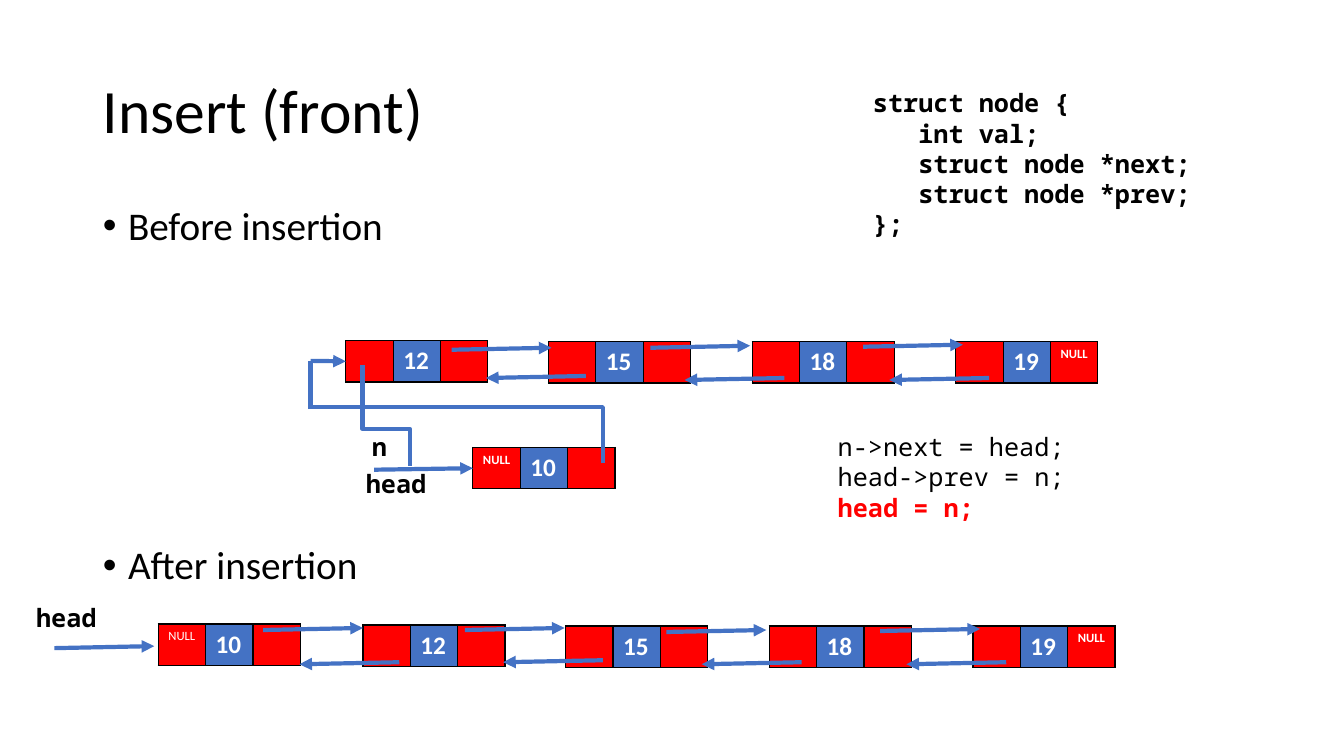
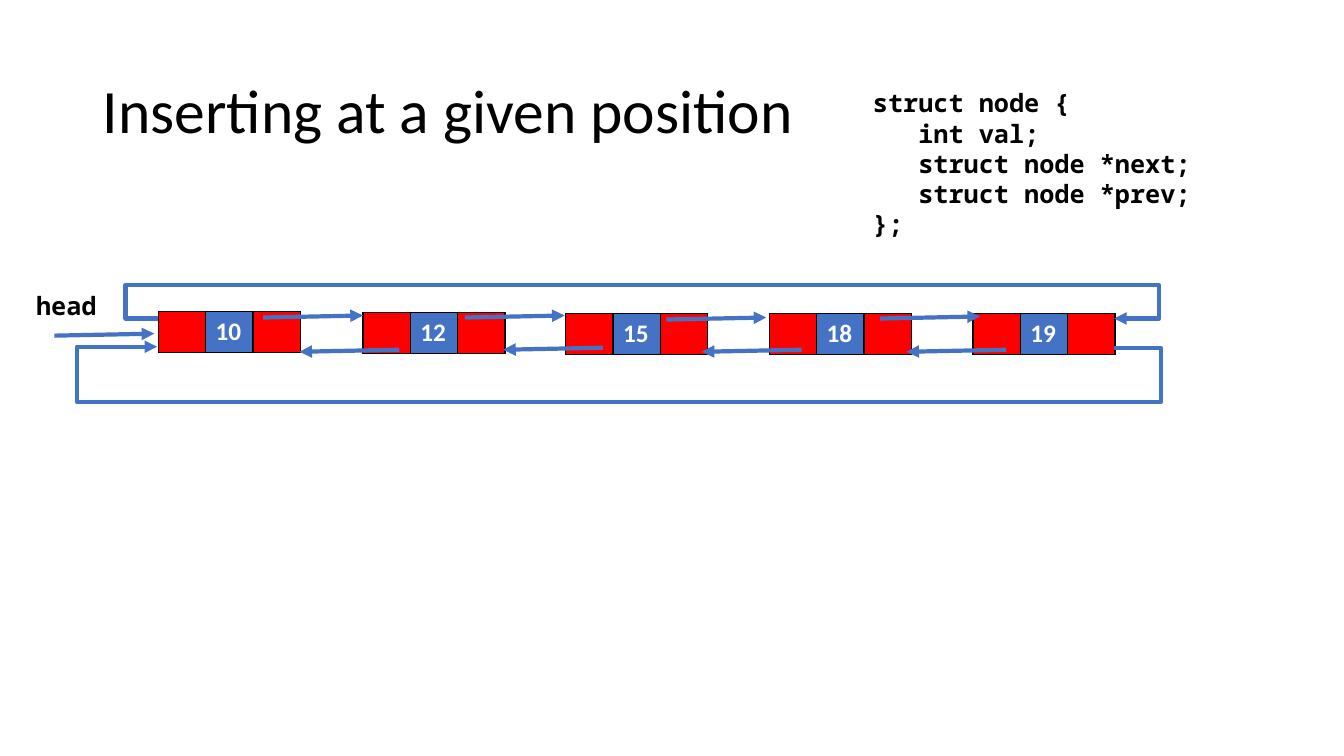
from lxml import etree
from pptx import Presentation
from pptx.dml.color import RGBColor
from pptx.enum.shapes import MSO_CONNECTOR as Link
from pptx.enum.text import MSO_ANCHOR as Anchor, MSO_AUTO_SIZE as Fit, PP_ALIGN as Align
from pptx.oxml import parse_xml
from pptx.oxml.ns import nsdecls, qn
from pptx.util import Inches, Pt

COLORS = {"text": "000000", "light": "FFFFFF", "pointer": "FF0000", "value": "4472C4"}
TITLE = {"name": "Calibri", "size": Pt(44), "bold": False}
BULLET = {"name": "Calibri", "size": Pt(28), "bold": False}
NODE_VALUE = {"name": "Calibri", "size": Pt(18), "bold": True}
NODE_NULL = {"name": "Calibri", "size": Pt(9), "bold": True}
PLAIN_CODE = {"name": "Noto Sans Mono", "size": Pt(18), "bold": False}
BOLD_CODE = PLAIN_CODE | {"bold": True}
CELL_WIDTH, NODE_HEIGHT = 0.47, 0.41
ARROW_RUN, ARROW_RISE = 0.99, 0.02

STRUCT = ["struct node {", "   int val;", "   struct node *next;",
          "   struct node *prev;", "};"]


def write(para, text, style, color):
    """Add text to a paragraph in the given font style and colour."""
    span = para.add_run()
    span.text = text
    for name, value in style.items():
        setattr(span.font, name, value)
    span.font.color.rgb = RGBColor.from_string(COLORS[color])


def draw_link(page, begin, end, arrow=True, bend=None, turn=0, target=None):
    """Draw a line; bend is the elbow's place as a share of the run."""
    kind = Link.STRAIGHT if bend is None else Link.ELBOW
    link = page.shapes.add_connector(kind, *[Inches(v) for v in (*begin, *end)])
    link.line.color.rgb = RGBColor.from_string(COLORS["value"])
    link.line.width = Pt(3)
    if arrow:
        link.line._get_or_add_ln().append(
            parse_xml(f'<a:tailEnd {nsdecls("a")} type="triangle"/>'))
    properties = link._element.spPr
    etree.SubElement(properties, qn("a:effectLst"))
    if bend is not None:
        guides = properties.find(qn("a:prstGeom")).get_or_add_avLst()
        etree.SubElement(guides, qn("a:gd"), name="adj1", fmla=f"val {round(bend * 100000)}")
    if turn:
        properties.find(qn("a:xfrm")).set("rot", str(turn * 60000))
    if target is not None:
        link.end_connect(target, 1)


deck = Presentation()
deck.slide_width, deck.slide_height = Inches(13.33), Inches(7.5)
front = deck.slides.add_slide(deck.slide_layouts[1])
position = deck.slides.add_slide(deck.slide_layouts[5])

# Titles
for page, heading in ((front, "Insert (front)"), (position, "Inserting at a given position")):
    title = page.shapes.title
    title.left, title.top = Inches(0.92), Inches(0.4)
    title.width, title.height = Inches(11.5), Inches(1.45)
    title.text_frame.auto_size = Fit.NONE
    title.text_frame.vertical_anchor = Anchor.MIDDLE
    para = title.text_frame.paragraphs[0]
    para.alignment, para.line_spacing = Align.LEFT, 0.9
    write(para, heading, TITLE, "text")

# Bullets
body = front.placeholders[1]
body.left, body.top = Inches(0.92), Inches(2)
body.width, body.height = Inches(11.5), Inches(4.76)
body.text_frame.auto_size = Fit.NONE
for index, (text, gap) in enumerate((("Before insertion", 0), ("After insertion", 212))):
    para = body.text_frame.add_paragraph() if index else body.text_frame.paragraphs[0]
    layout = para._p.get_or_add_pPr()
    layout.set("marL", str(Inches(0.25)))
    layout.set("indent", str(Inches(-0.25)))
    etree.SubElement(layout, qn("a:buChar"), char="•")
    para.line_spacing, para.space_before = 0.9, Pt(gap)
    write(para, text, BULLET, "text")

# List nodes: page, left, top, texts of the prev, value and next cells
chain = ((1.57, 0, "10"), (3.6, 0.01, "12"), (5.61, 0.02, "15"),
         (7.63, 0.02, "18"), (9.65, 0.02, "19"))
chain_rows = ((front, 6.19, "NULL"), (position, 3.09, ""))
nodes = [(front, 4.69, 4.44, ("NULL", "10", "")),
         (front, 3.43, 3.38, ("", "12", "")),
         (front, 5.44, 3.39, ("", "15", "")),
         (front, 7.46, 3.39, ("", "18", "")),
         (front, 9.48, 3.39, ("", "19", "NULL"))]
for page, top, end_text in chain_rows:
    for left, drop, value in chain:
        before = end_text if value == "10" else ""
        after = end_text if value == "19" else ""
        nodes.append((page, left, top + drop, (before, value, after)))

frames = []
for page, left, top, texts in nodes:
    frame = page.shapes.add_table(1, 3, Inches(left), Inches(top),
                                  Inches(3 * CELL_WIDTH), Inches(NODE_HEIGHT))
    frames.append(frame)
    frame.table.first_row = frame.table.horz_banding = False
    for column, text in enumerate(texts):
        frame.table.columns[column].width = Inches(CELL_WIDTH)
        cell = frame.table.cell(0, column)
        for side in ("lnL", "lnR", "lnT", "lnB"):
            cell._tc.get_or_add_tcPr().append(parse_xml(
                f'<a:{side} {nsdecls("a")} w="{Pt(1)}"><a:solidFill>'
                f'<a:srgbClr val="{COLORS["text"]}"/></a:solidFill></a:{side}>'))
        cell.fill.solid()
        cell.fill.fore_color.rgb = RGBColor.from_string(
            COLORS["value" if column == 1 else "pointer"])
        if text:
            style = NODE_VALUE if column == 1 else NODE_NULL
            write(cell.text_frame.paragraphs[0], text, style, "light")
new_node, old_head, first_after = frames[0], frames[1], frames[5]
first_after.table.cell(0, 0).text_frame.paragraphs[0].runs[0].font.bold = False

# Next arrows rise to the right, prev arrows fall to the left
next_starts = [(front, 4.48, 3.47), (front, 6.45, 3.45), (front, 8.56, 3.44)]
prev_starts = [(front, 5.81, 3.73), (front, 7.78, 3.75), (front, 9.81, 3.75)]
for page, top, _ in chain_rows:
    next_starts += [(page, x, top + drop) for x, drop in (
        (0.54, 0.24), (2.61, 0.06), (4.61, 0.06), (6.61, 0.08), (8.73, 0.07))]
    prev_starts += [(page, x, top + drop) for x, drop in (
        (3.96, 0.38), (5.98, 0.36), (7.95, 0.38), (9.98, 0.38))]
for starts, way in ((next_starts, 1), (prev_starts, -1)):
    for page, x, y in starts:
        draw_link(page, (x, y), (x + way * ARROW_RUN, y - way * ARROW_RISE))

# The new node joins the front of the list
draw_link(front, (3.71, 4.66), (4.69, 4.64), target=new_node)
draw_link(front, (5.98, 4.59), (3.08, 4.04), arrow=False, bend=0)
draw_link(front, (3.08, 4.06), (3.08, 3.58), arrow=False)
draw_link(front, (3.08, 3.58), (3.43, 3.59), target=old_head)
draw_link(front, (4.33, 3.89), (3.33, 4.36), arrow=False, bend=0.63, turn=270)

# The last and first nodes point to each other
draw_link(position, (1.57, 3.16), (2.16, 2.83), arrow=False, bend=-0.55)
draw_link(position, (2.12, 2.83), (11.05, 3.16), bend=1.05)
draw_link(position, (11.05, 3.45), (10.37, 3.99), arrow=False, bend=-0.68)
draw_link(position, (10.4, 3.99), (1.56, 3.44), bend=1.09)

# Code and labels: page, place and size, lines with style and colour
struct_lines = [(line, BOLD_CODE, "text") for line in STRUCT]
head_line = [("head", BOLD_CODE, "text")]
notes = [(front, (3.53, 4.6, 1.47, 0.4), head_line),
         (front, (3.59, 4.23, 1.47, 0.4), [("n", BOLD_CODE, "text")]),
         (front, (8.21, 4.23, 2.67, 1.01), [("n->next = head;", PLAIN_CODE, "text"),
                                            ("head->prev = n;", PLAIN_CODE, "text"),
                                            ("head = n;", BOLD_CODE, "pointer")])]
for page, top, _ in chain_rows:
    notes += [(page, (8.56, 0.82, 3.72, 1.62), struct_lines),
              (page, (0.26, top - 0.26, 1.47, 0.4), head_line)]
for page, place, lines in notes:
    box = page.shapes.add_textbox(*[Inches(v) for v in place])
    box.text_frame.word_wrap = True
    box.text_frame.auto_size = Fit.SHAPE_TO_FIT_TEXT
    for index, line in enumerate(lines):
        para = box.text_frame.add_paragraph() if index else box.text_frame.paragraphs[0]
        write(para, *line)

deck.save("out.pptx")
